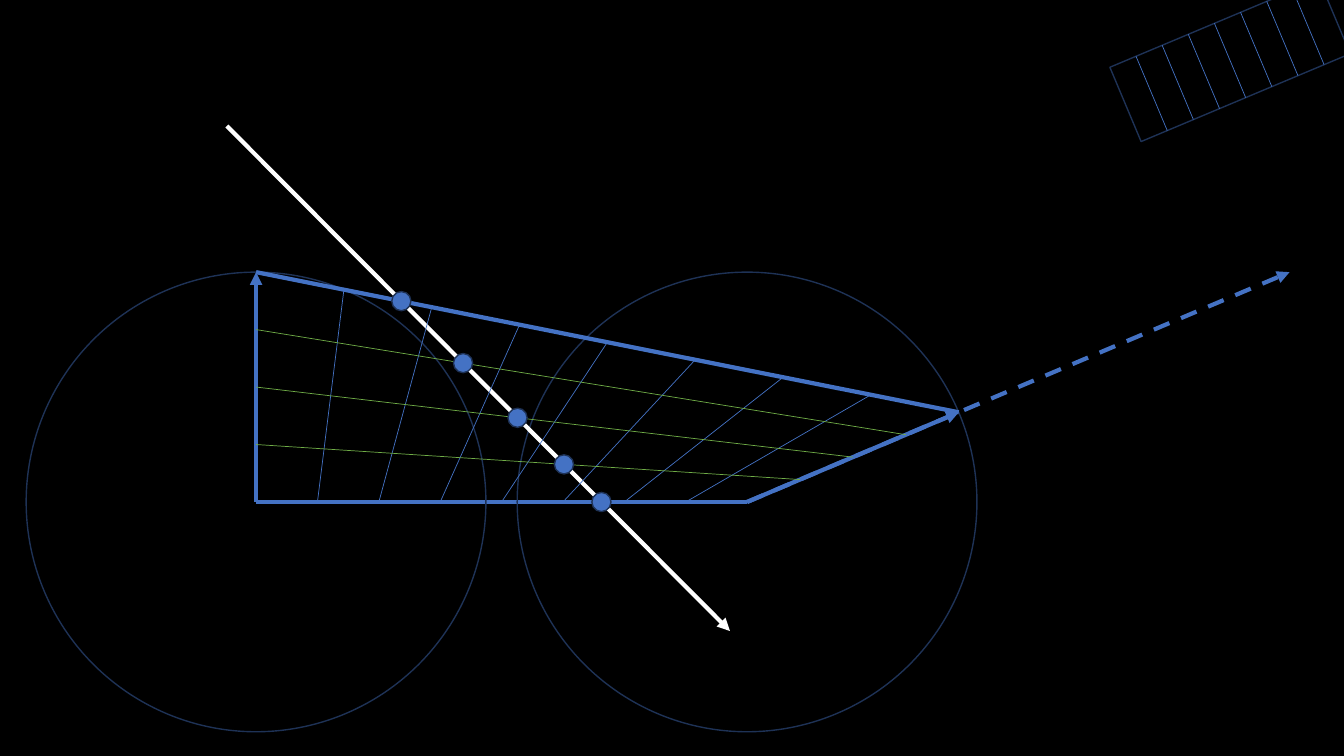
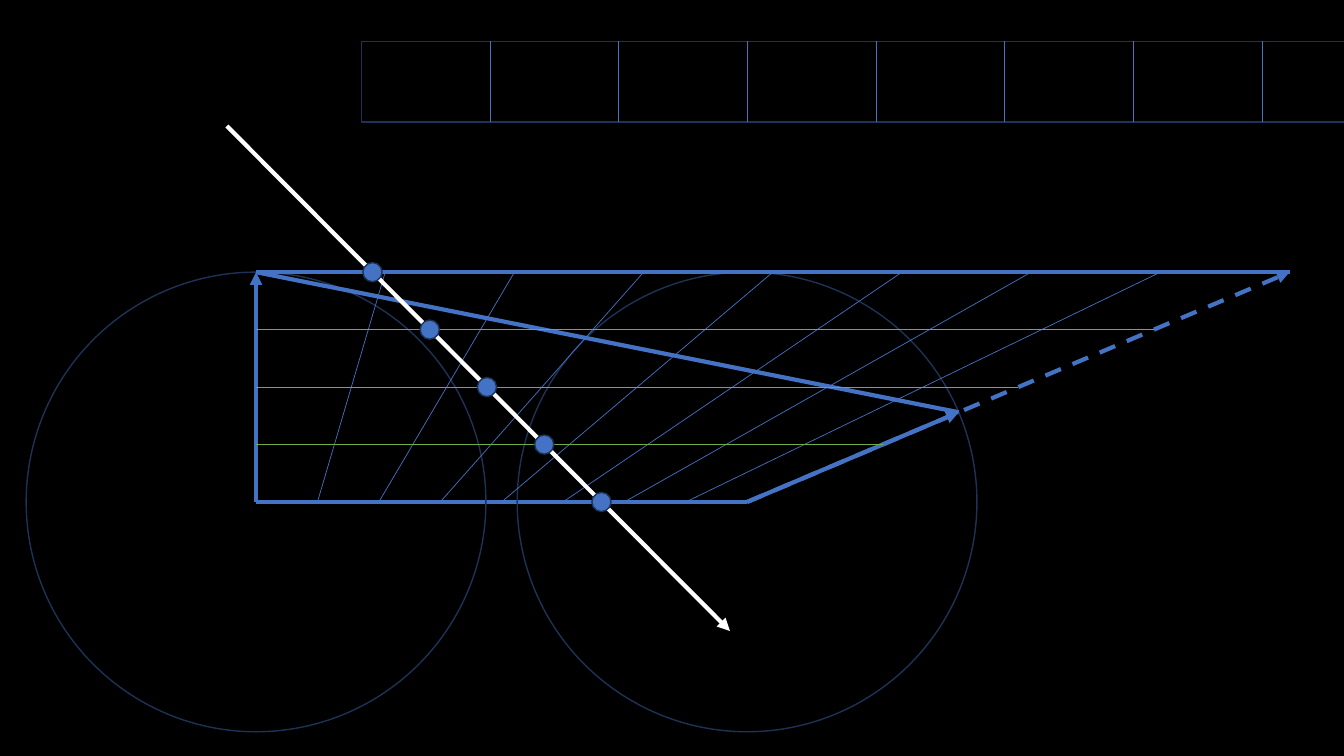
from dataclasses import dataclass
from math import cos, radians, sin

from lxml.etree import SubElement
from pptx import Presentation
from pptx.dml.color import RGBColor
from pptx.enum.dml import MSO_LINE
from pptx.enum.shapes import MSO_CONNECTOR, MSO_SHAPE
from pptx.oxml.ns import qn
from pptx.util import Inches, Pt


@dataclass(frozen=True)
class Theme:
    background: str = "000000"
    edge: str = "4472C4"
    outline: str = "1E3256"
    row: str = "70AD47"
    ray: str = "FFFFFF"
    thick: float = 3
    medium: float = 1
    thin: float = 0.5
    dot: float = 0.19


THEME = Theme()
COLUMNS = 8
ROWS = 4


def color(value):
    return RGBColor.from_string(value)


def between(start, end, share):
    return start + (end - start) * share


def cross(first, second):
    return (first.conjugate() * second).imag


def crossing(first, second):
    start, end = first
    other_start, other_end = second
    direction, other = end - start, other_end - other_start
    return start + direction * cross(other_start - start, other) / cross(direction, other)


def add_line(shapes, start, end, stroke=THEME.edge, width=THEME.thick, arrow=False, dash=False):
    ends = [Inches(value) for point in (start, end) for value in (point.real, point.imag)]
    connector = shapes.add_connector(MSO_CONNECTOR.STRAIGHT, *ends)
    connector.line.color.rgb = color(stroke)
    connector.line.width = Pt(width)
    if dash:
        connector.line.dash_style = MSO_LINE.DASH
    properties = connector._element.spPr
    if arrow:
        SubElement(properties.find(qn("a:ln")), qn("a:tailEnd"), type="triangle")
    SubElement(properties, qn("a:effectLst"))


def add_outline(shapes, kind, center, width, height, fill=None, angle=0):
    corner = center - complex(width, height) / 2
    box = [Inches(value) for value in (corner.real, corner.imag, width, height)]
    shape = shapes.add_shape(kind, *box)
    shape.shadow.inherit = False
    shape.rotation = angle
    if fill:
        shape.fill.solid()
        shape.fill.fore_color.rgb = color(fill)
    else:
        shape.fill.background()
    shape.line.color.rgb = color(THEME.outline)
    shape.line.width = Pt(THEME.medium)


@dataclass(frozen=True)
class Diagram:
    near_hub: complex = 2.54 + 4.98j
    radius: float = 2.28
    span: float = 4.87
    reach: float = 10.25

    @property
    def far_hub(self):
        return self.near_hub + self.span

    @property
    def near_tip(self):
        return self.near_hub - self.radius * 1j

    @property
    def target(self):
        return self.near_tip + self.reach

    @property
    def far_tip(self):
        direction = self.target - self.far_hub
        return self.far_hub + self.radius * direction / abs(direction)

    @property
    def ray(self):
        return self.near_hub - (0.29 + 3.73j), self.near_hub + (4.7 + 1.28j)

    def rows(self, far_end):
        return [
            (between(self.near_hub, self.near_tip, index / ROWS),
             between(self.far_hub, far_end, index / ROWS))
            for index in range(ROWS + 1)
        ]


def draw_frame(shapes, diagram):
    add_line(shapes, diagram.near_hub, diagram.far_hub)
    for hub, tip in ((diagram.near_hub, diagram.near_tip), (diagram.far_hub, diagram.far_tip)):
        add_line(shapes, hub, tip, arrow=True)
        add_outline(shapes, MSO_SHAPE.OVAL, hub, 2 * diagram.radius, 2 * diagram.radius)
    add_line(shapes, diagram.near_tip, diagram.far_tip)
    add_line(shapes, diagram.far_hub, diagram.target, arrow=True, dash=True)


def draw_ray(shapes, diagram):
    add_line(shapes, *diagram.ray, stroke=THEME.ray, arrow=True)


def draw_grid(shapes, diagram, far_end):
    for index in range(1, COLUMNS):
        share = index / COLUMNS
        foot = between(diagram.near_hub, diagram.far_hub, share)
        head = between(diagram.near_tip, far_end, share)
        add_line(shapes, foot, head, width=THEME.thin)
    for row in diagram.rows(far_end)[1:-1]:
        add_line(shapes, *row, stroke=THEME.row, width=THEME.thin)


def draw_samples(shapes, diagram, far_end):
    for row in diagram.rows(far_end):
        center = crossing(diagram.ray, row)
        add_outline(shapes, MSO_SHAPE.OVAL, center, THEME.dot, THEME.dot, THEME.edge)


def draw_strip(shapes, center, width, height, angle=0):
    strip = shapes.add_group_shape().shapes
    add_outline(strip, MSO_SHAPE.RECTANGLE, center, width, height, angle=angle)
    along = complex(cos(radians(angle)), sin(radians(angle)))
    half_tick = along * 1j * height / 2
    for index in range(1, COLUMNS):
        middle = center + along * width * (index / COLUMNS - 0.5)
        add_line(strip, middle - half_tick, middle + half_tick, width=THEME.thin)


def build_angled_slide(slide, diagram):
    shapes = slide.shapes
    draw_frame(shapes, diagram)
    draw_ray(shapes, diagram)
    draw_grid(shapes, diagram, diagram.far_tip)
    draw_strip(shapes, 12.2 + 0.6j, 2.25, 0.8, angle=-22.8)
    draw_samples(shapes, diagram, diagram.far_tip)


def build_level_slide(slide, diagram):
    shapes = slide.shapes
    draw_frame(shapes, diagram)
    add_line(shapes, diagram.near_tip, diagram.target)
    draw_strip(shapes, 8.69 + 0.81j, 10.21, 0.8)
    draw_grid(shapes, diagram, diagram.target)
    draw_ray(shapes, diagram)
    draw_samples(shapes, diagram, diagram.target)


def main():
    presentation = Presentation()
    presentation.slide_width = Inches(13.33)
    presentation.slide_height = Inches(7.5)
    backdrop = presentation.slide_master.background.fill
    backdrop.solid()
    backdrop.fore_color.rgb = color(THEME.background)
    blank = presentation.slide_layouts[6]
    for build in (build_angled_slide, build_level_slide):
        build(presentation.slides.add_slide(blank), Diagram())
    presentation.save("out.pptx")


if __name__ == "__main__":
    main()
